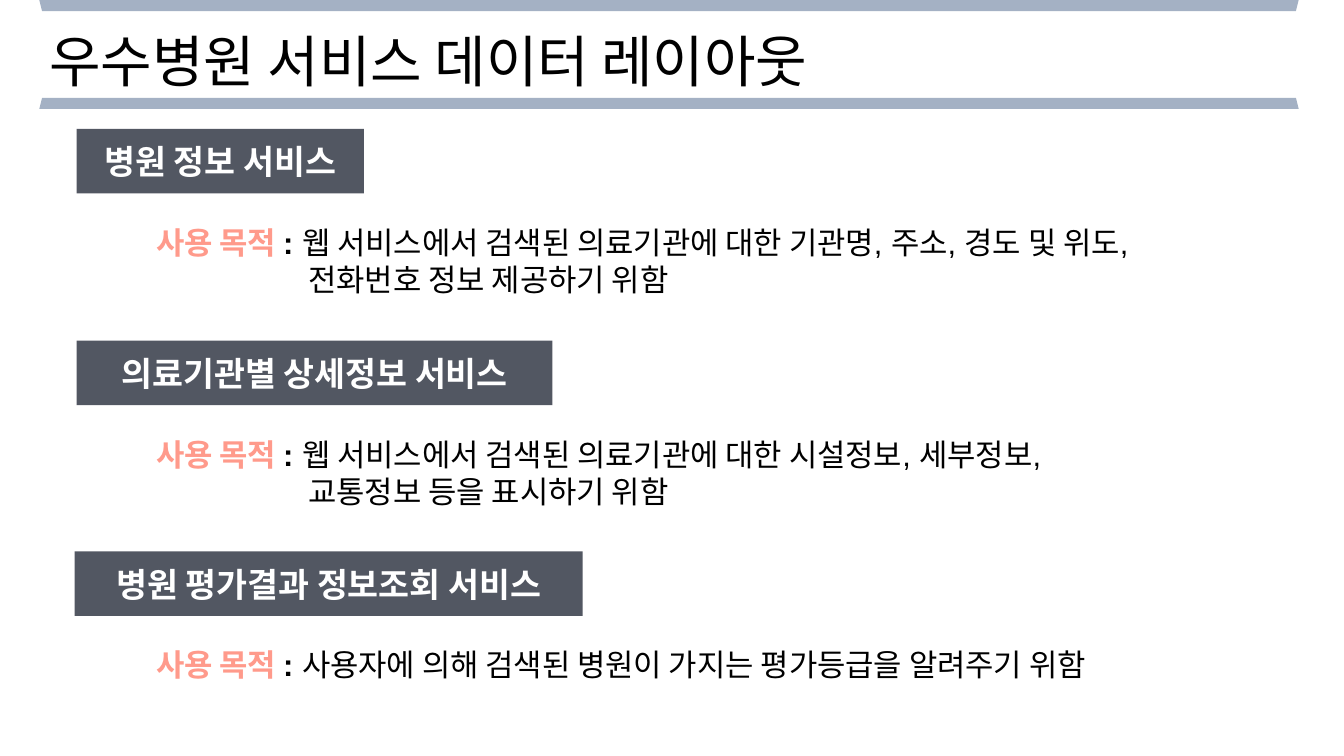
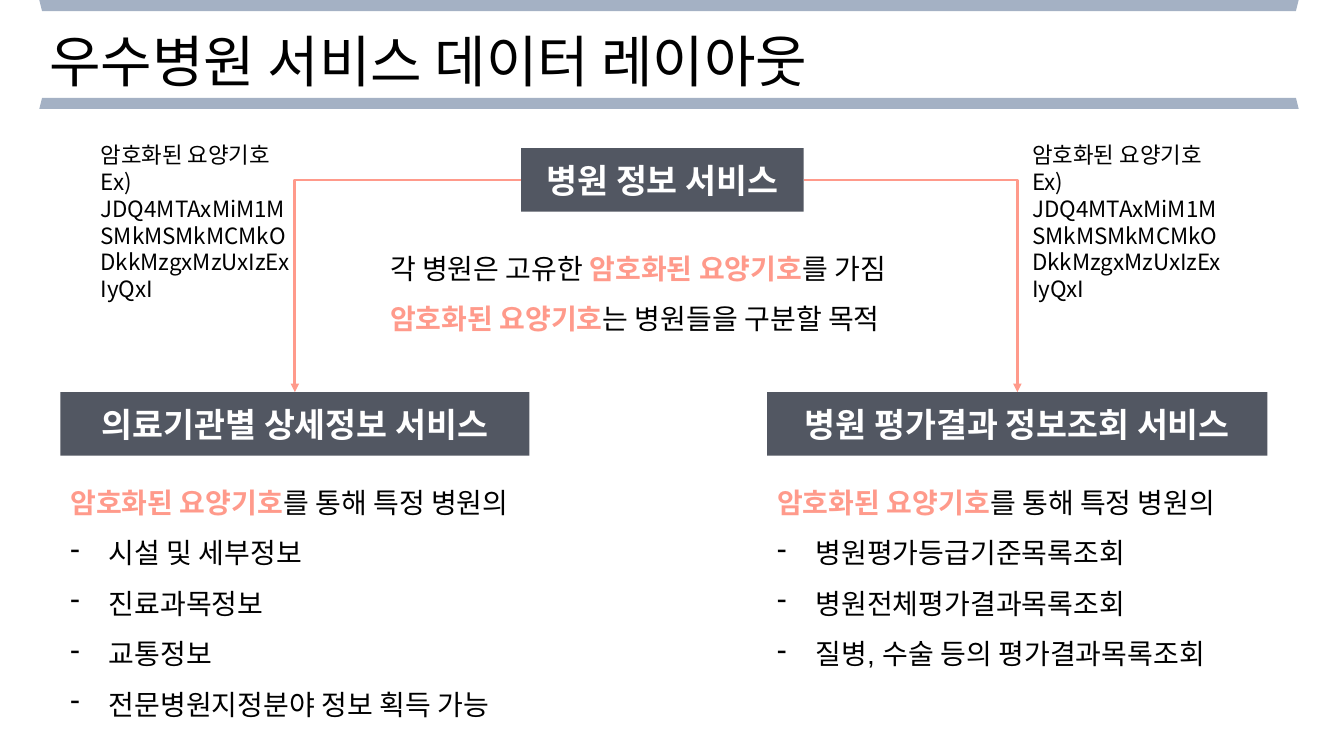
from dataclasses import dataclass
from typing import NamedTuple

from lxml.etree import SubElement
from pptx import Presentation
from pptx.dml.color import RGBColor
from pptx.enum.shapes import MSO_CONNECTOR, MSO_SHAPE
from pptx.enum.text import MSO_ANCHOR, PP_ALIGN
from pptx.oxml.ns import qn
from pptx.util import Emu, Pt

SCALE = 9144  # EMU in one px, 100 px to the inch


@dataclass(frozen=True)
class Theme:
    ink: str = "000000"
    white: str = "FFFFFF"
    band: str = "A4B1C4"
    slate: str = "404551"
    coral: str = "FF9A8B"
    latin: str = "Arial"
    hangul: str = "Noto Sans CJK KR"
    title: int = 40
    label: int = 24
    aim: int = 22
    body: int = 20
    note: int = 16


THEME = Theme()


class Box(NamedTuple):
    left: int
    top: int
    width: int
    height: int


class Bit(NamedTuple):
    text: str
    color: str = THEME.ink
    bold: bool = False


@dataclass(frozen=True)
class Para:
    bits: tuple[Bit, ...]
    left: int = 0
    bullet: str = ""


class Topic(NamedTuple):
    name: str
    box: Box
    aim: tuple[str, ...]


class Branch(NamedTuple):
    name: str
    box: Box
    side: int
    items: tuple[str, ...]
    note: int


TITLE = "우수병원 서비스 데이터 레이아웃"
INFO = "병원 정보 서비스"
DETAIL = "의료기관별 상세정보 서비스"
RATING = "병원 평가결과 정보조회 서비스"
CODE = Bit("암호화된 요양기호", THEME.coral, True)
SAMPLE = "암호화된 요양기호Ex) JDQ4MTAxMiM1MSMkMSMkMCMkODkkMzgxMzUxIzExIyQxI"

TOPICS = (
    Topic(INFO, Box(76, 128, 285, 64),
          ("웹 서비스에서 검색된 의료기관에 대한 기관명, 주소, 경도 및 위도,",
           "전화번호 정보 제공하기 위함")),
    Topic(DETAIL, Box(76, 338, 472, 64),
          ("웹 서비스에서 검색된 의료기관에 대한 시설정보, 세부정보,",
           "교통정보 등을 표시하기 위함")),
    Topic(RATING, Box(74, 547, 504, 64),
          ("사용자에 의해 검색된 병원이 가지는 평가등급을 알려주기 위함",)),
)
BRANCHES = (
    Branch(DETAIL, Box(60, 389, 465, 63), 1,
           ("시설 및 세부정보", "진료과목정보", "교통정보",
            "전문병원지정분야 정보 획득 가능"), 90),
    Branch(RATING, Box(761, 389, 496, 63), 3,
           ("병원평가등급기준목록조회", "병원전체평가결과목록조회",
            "질병, 수술 등의 평가결과목록조회"), 1014),
)


def px(count: int) -> Emu:
    return Emu(count * SCALE)


def place(box: Box) -> list[Emu]:
    return [px(side) for side in box]


def write(frame, paras: list[Para], *, size: int, font: str = THEME.latin,
          align=PP_ALIGN.LEFT, anchor=MSO_ANCHOR.TOP, pitch: float = 1.0) -> None:
    """Fill a text frame with formatted paragraphs."""
    frame.word_wrap = True
    frame.vertical_anchor = anchor
    for index, para in enumerate(paras):
        line = frame.paragraphs[0] if index == 0 else frame.add_paragraph()
        line.alignment = align
        line.line_spacing = pitch
        props = line._p.get_or_add_pPr()
        if para.left:
            props.set("marL", str(px(para.left)))
        if para.bullet:
            props.set("indent", str(-px(para.left)))
            SubElement(props, qn("a:buChar")).set("char", para.bullet)
        for bit in para.bits:
            run = line.add_run()
            run.text = bit.text
            run.font.name = font
            run.font.size = Pt(size)
            run.font.bold = bit.bold
            run.font.color.rgb = RGBColor.from_string(bit.color)
            face = SubElement(run._r.get_or_add_rPr(), qn("a:ea"))
            face.set("typeface", THEME.hangul)


def add_text(slide, box: Box, paras: list[Para], **style) -> None:
    write(slide.shapes.add_textbox(*place(box)).text_frame, paras, **style)


def add_fill(slide, kind, box: Box, color: str):
    shape = slide.shapes.add_shape(kind, *place(box))
    shape.shadow.inherit = False
    shape.fill.solid()
    shape.fill.fore_color.rgb = RGBColor.from_string(color)
    shape.line.fill.background()
    return shape


def add_label(slide, box: Box, name: str):
    """Slightly clear slate box with a bold white name."""
    shape = add_fill(slide, MSO_SHAPE.RECTANGLE, box, THEME.slate)
    tint = shape._element.spPr.find(qn("a:solidFill"))[0]
    SubElement(tint, qn("a:alpha")).set("val", "90000")
    write(shape.text_frame, [Para((Bit(name, THEME.white, True),))],
          size=THEME.label, align=PP_ALIGN.CENTER, anchor=MSO_ANCHOR.MIDDLE)
    return shape


def add_arrow(slide, start, side: int, end) -> None:
    """One-bend arrow from a side of start to the top of end."""
    arrow = slide.shapes.add_connector(MSO_CONNECTOR.ELBOW, 0, 0, 0, 0)
    arrow.begin_connect(start, side)
    arrow.end_connect(end, 0)
    arrow.line.color.rgb = RGBColor.from_string(THEME.coral)
    arrow.line.width = Pt(2)
    props = arrow._element.spPr
    props.find(qn("a:prstGeom")).set("prst", "bentConnector2")
    SubElement(props.find(qn("a:ln")), qn("a:tailEnd")).set("type", "triangle")
    SubElement(props, qn("a:effectLst"))


def add_page(deck):
    """Blank slide with the two bands and the title."""
    slide = deck.slides.add_slide(deck.slide_layouts[6])
    for top, turn in ((0, 180), (97, 0)):
        band = add_fill(slide, MSO_SHAPE.TRAPEZOID, Box(39, top, 1249, 11), THEME.band)
        band.rotation = turn
    add_text(slide, Box(39, 21, 865, 77), [Para((Bit(TITLE),))], size=THEME.title)
    return slide


def draw_aims(deck) -> None:
    slide = add_page(deck)
    for topic in TOPICS:
        add_label(slide, topic.box, topic.name)
        first, *rest = topic.aim
        paras = [Para((Bit("사용 목적 ", THEME.coral, True),
                       Bit(": ", bold=True), Bit(first)))]
        paras += [Para((Bit(text),), left=151) for text in rest]
        add_text(slide, Box(145, topic.box.top + 89, 1104, 10 + 37 * len(paras)),
                 paras, size=THEME.aim)


def draw_flow(deck) -> None:
    slide = add_page(deck)
    root = add_label(slide, Box(517, 147, 280, 63), INFO)
    add_text(slide, Box(377, 228, 574, 105), [
        Para((Bit("각 병원은 고유한 "), CODE, Bit("를 가짐"))),
        Para((CODE, Bit("는 병원들을 구분할 목적"))),
    ], size=THEME.body, pitch=1.5)

    # Each branch: label, arrow, list and sample code
    for branch in BRANCHES:
        box = branch.box
        label = add_label(slide, box, branch.name)
        add_arrow(slide, root, branch.side, label)
        paras = [Para((CODE, Bit("를 통해 특정 병원의")))]
        paras += [Para((Bit(item),), left=38, bullet="-") for item in branch.items]
        add_text(slide, Box(box.left, 460, 508, 10 + 51 * len(paras)), paras,
                 size=THEME.body, pitch=1.5)
        add_text(slide, Box(branch.note, 135, 210, 172), [Para((Bit(SAMPLE),))],
                 size=THEME.note, font=THEME.hangul)


def main() -> None:
    deck = Presentation()
    deck.slide_width, deck.slide_height = px(1333), px(750)
    draw_aims(deck)
    draw_flow(deck)
    deck.save("out.pptx")


if __name__ == "__main__":
    main()
